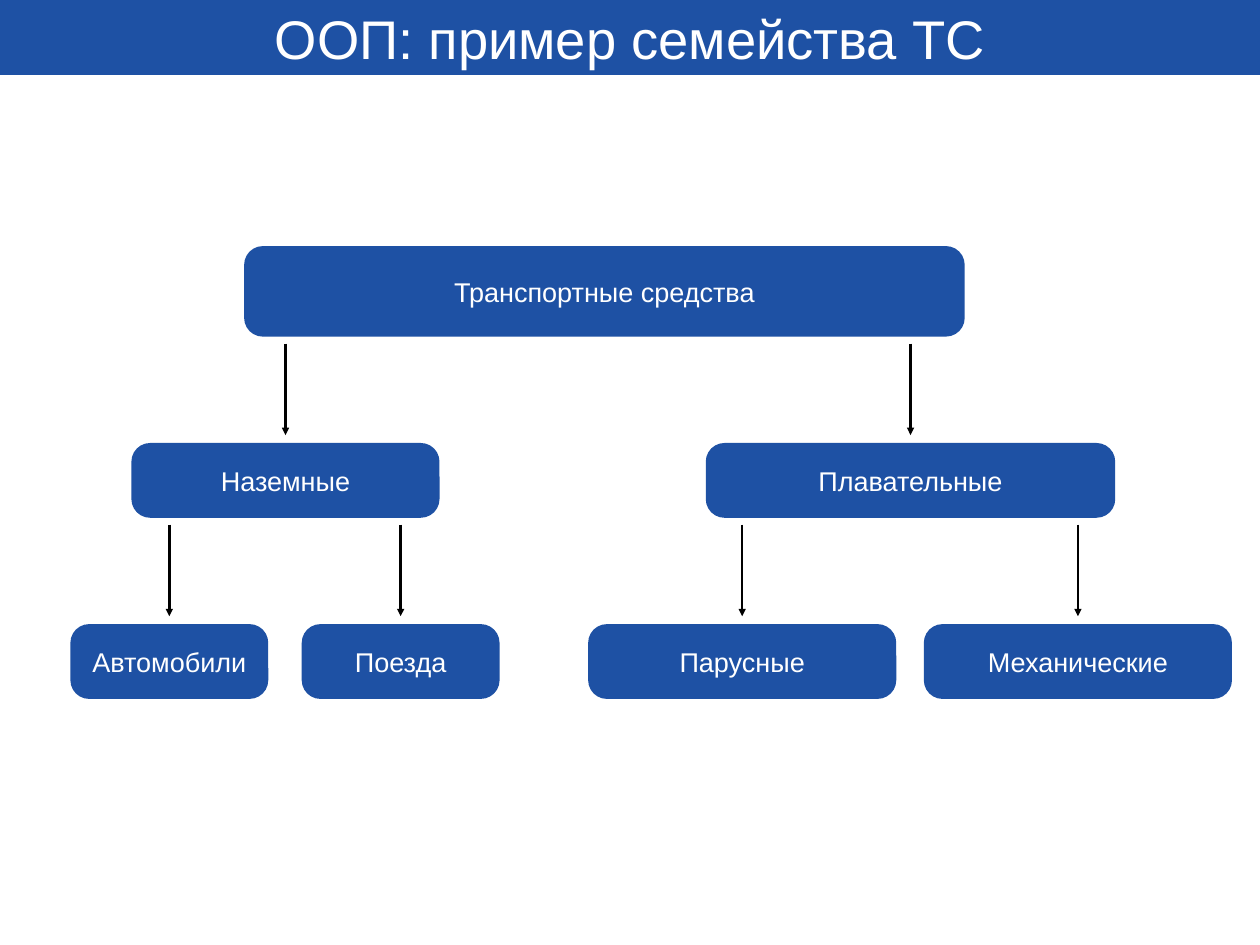
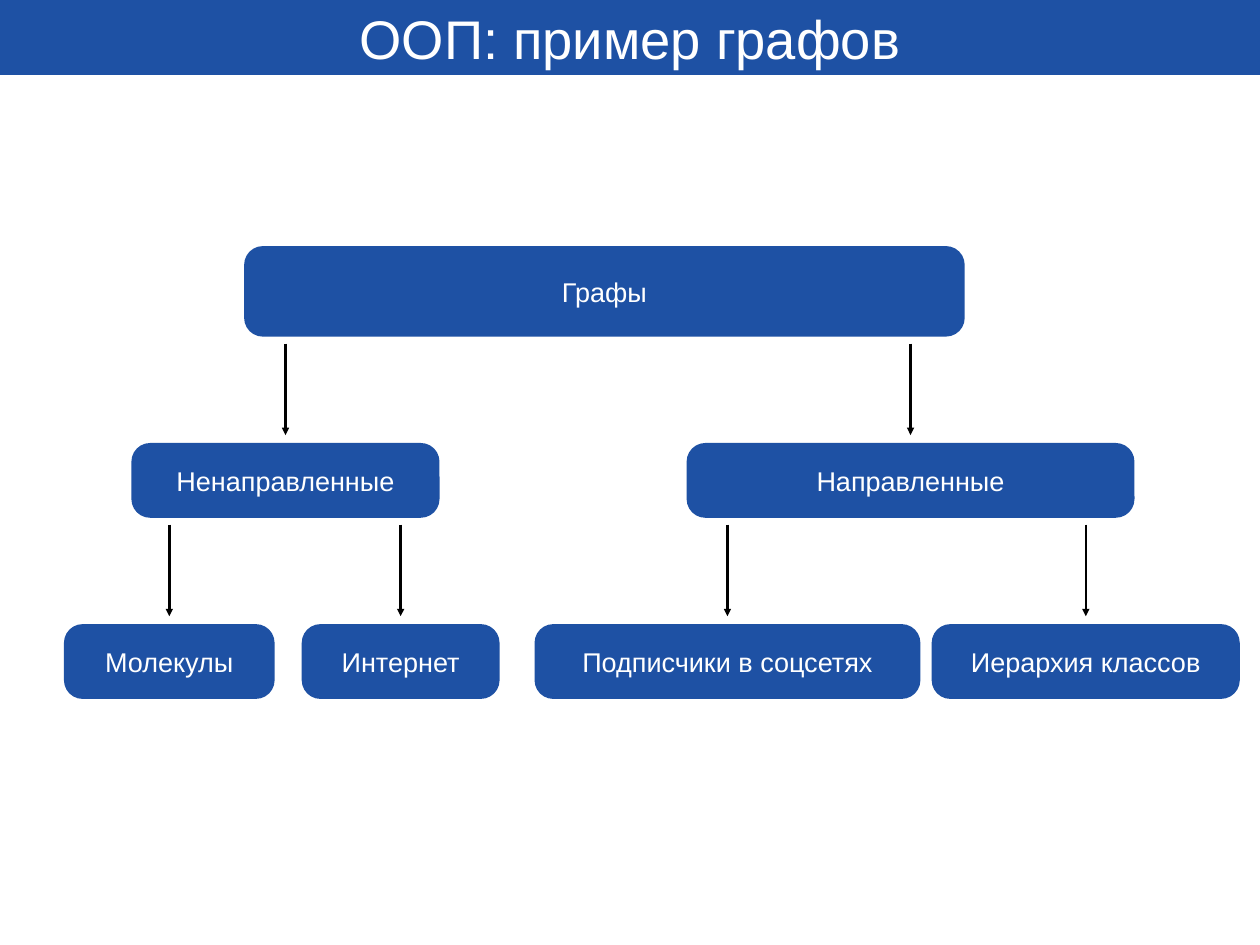
"""Build two slides that show class hierarchies as trees of boxes."""
import lxml.etree
import pptx
import pptx.dml.color
import pptx.enum.shapes
import pptx.enum.text
import pptx.oxml.ns
import pptx.util

EMU_PER_PX = 10160
SLIDE_WIDTH, SLIDE_HEIGHT = 1280, 960
BLUE, WHITE, BLACK = "1E51A4", "FFFFFF", "000000"
FONT = "Arial"
TITLE_SIZE, BOX_SIZE = 44.2, 22
TITLE_HEIGHT = 76
INSET, CORNER_RADIUS = 5, 19
GAP_BELOW_PARENT, GAP_ABOVE_CHILD = 7, 8
LEVELS = [(250, 92), (450, 76), (634, 76)]

TREES = [
    ("ООП: пример семейства ТС", [
        [("Транспортные средства", 614, 732)],
        [("Наземные", 290, 313), ("Плавательные", 925, 416)],
        [("Автомобили", 172, 201), ("Поезда", 407, 201),
         ("Парусные", 754, 313), ("Механические", 1095, 313)],
    ]),
    ("ООП: пример графов", [
        [("Графы", 614, 732)],
        [("Ненаправленные", 290, 313), ("Направленные", 925, 455)],
        [("Молекулы", 172, 214), ("Интернет", 407, 201),
         ("Подписчики в соцсетях", 739, 392), ("Иерархия классов", 1103, 313)],
    ]),
]


def color(value):
    return pptx.dml.color.RGBColor.from_string(value)


def add_block(slide, kind, bounds, text, size, anchor):
    shape = slide.shapes.add_shape(kind, *(round(length * EMU_PER_PX) for length in bounds))
    shape.shadow.inherit = False
    shape.fill.solid()
    shape.fill.fore_color.rgb = color(BLUE)
    shape.line.fill.background()
    frame = shape.text_frame
    frame.word_wrap = True
    frame.vertical_anchor = anchor
    frame.margin_left = frame.margin_right = INSET * EMU_PER_PX
    frame.margin_top = frame.margin_bottom = INSET * EMU_PER_PX
    paragraph = frame.paragraphs[0]
    paragraph.text = text
    paragraph.alignment = pptx.enum.text.PP_ALIGN.CENTER
    paragraph.font.name = FONT
    paragraph.font.size = pptx.util.Pt(size)
    paragraph.font.color.rgb = color(WHITE)
    return shape


presentation = pptx.Presentation()
presentation.slide_width = SLIDE_WIDTH * EMU_PER_PX
presentation.slide_height = SLIDE_HEIGHT * EMU_PER_PX

for title, rows in TREES:
    slide = presentation.slides.add_slide(presentation.slide_layouts[6])
    add_block(slide, pptx.enum.shapes.MSO_SHAPE.RECTANGLE,
              (0, 0, SLIDE_WIDTH, TITLE_HEIGHT), title, TITLE_SIZE,
              pptx.enum.text.MSO_ANCHOR.BOTTOM)

    for (top, height), row in zip(LEVELS, rows):
        for text, center, width in row:
            box = add_block(slide, pptx.enum.shapes.MSO_SHAPE.ROUNDED_RECTANGLE,
                            (center - width / 2, top, width, height), text, BOX_SIZE,
                            pptx.enum.text.MSO_ANCHOR.MIDDLE)
            box.adjustments[0] = CORNER_RADIUS / height

    for (parent_top, parent_height), (child_top, _), row in zip(LEVELS, LEVELS[1:], rows[1:]):
        start = (parent_top + parent_height + GAP_BELOW_PARENT) * EMU_PER_PX
        end = (child_top - GAP_ABOVE_CHILD) * EMU_PER_PX
        for _, center, _ in row:
            x = center * EMU_PER_PX
            arrow = slide.shapes.add_connector(
                pptx.enum.shapes.MSO_CONNECTOR.STRAIGHT, x, start, x, end)
            arrow.line.color.rgb = color(BLACK)
            arrow.line.width = pptx.util.Pt(2)
            line = arrow.line._get_or_add_ln()
            lxml.etree.SubElement(line, pptx.oxml.ns.qn("a:tailEnd"), type="triangle")
            lxml.etree.SubElement(line.getparent(), pptx.oxml.ns.qn("a:effectLst"))

presentation.save("out.pptx")
